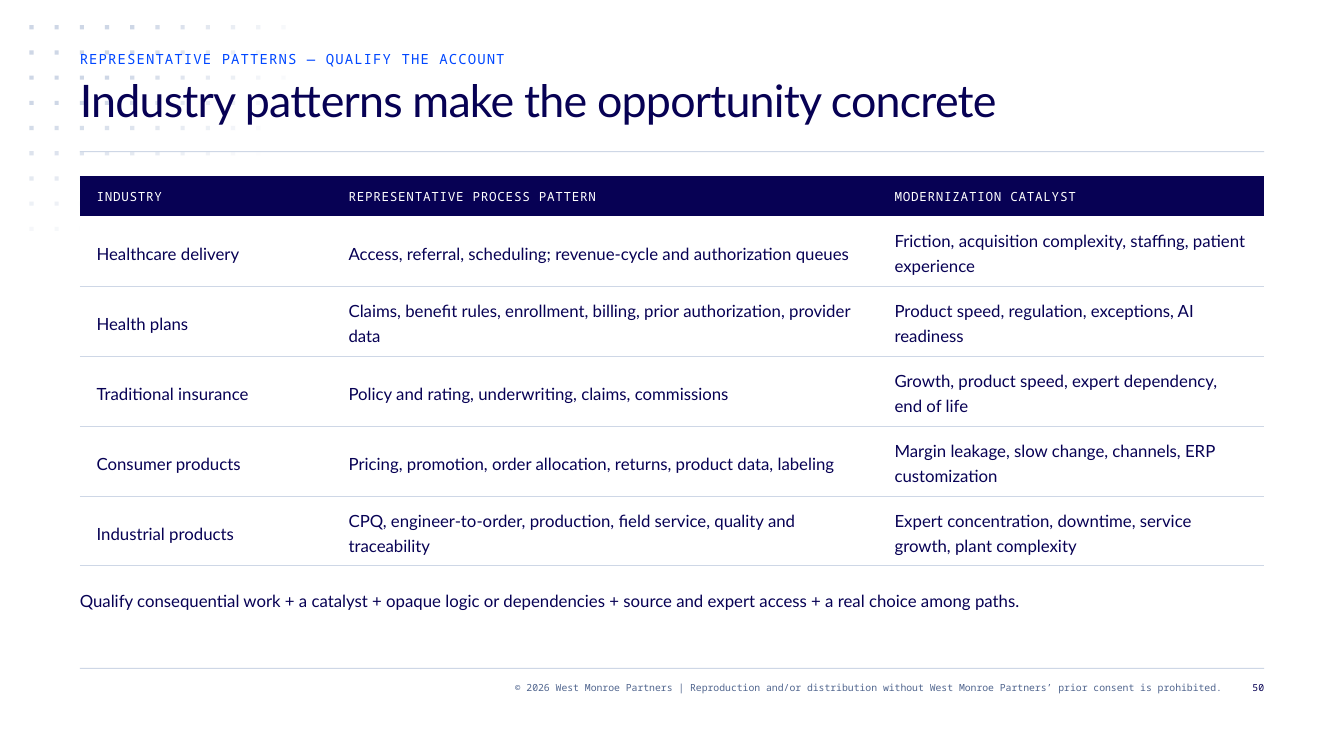
"""Build the industry patterns slide with its qualification table."""
from math import hypot

from lxml.etree import SubElement
from pptx import Presentation
from pptx.dml.color import RGBColor
from pptx.enum.shapes import MSO_SHAPE
from pptx.enum.text import MSO_ANCHOR, MSO_AUTO_SIZE, PP_ALIGN
from pptx.oxml import parse_xml
from pptx.oxml.ns import nsdecls, qn
from pptx.util import Pt

EYEBROW = "REPRESENTATIVE PATTERNS — QUALIFY THE ACCOUNT"
TITLE = "Industry patterns make the opportunity concrete"
ROWS = [
    ("INDUSTRY", "REPRESENTATIVE PROCESS PATTERN", "MODERNIZATION CATALYST"),
    ("Healthcare delivery",
     "Access, referral, scheduling; revenue-cycle and authorization queues",
     "Friction, acquisition complexity, staffing, patient experience"),
    ("Health plans",
     "Claims, benefit rules, enrollment, billing, prior authorization, provider data",
     "Product speed, regulation, exceptions, AI readiness"),
    ("Traditional insurance",
     "Policy and rating, underwriting, claims, commissions",
     "Growth, product speed, expert dependency, end of life"),
    ("Consumer products",
     "Pricing, promotion, order allocation, returns, product data, labeling",
     "Margin leakage, slow change, channels, ERP customization"),
    ("Industrial products",
     "CPQ, engineer-to-order, production, field service, quality and traceability",
     "Expert concentration, downtime, service growth, plant complexity"),
]
TAKEAWAY = ("Qualify consequential work + a catalyst + opaque logic or dependencies "
            "+ source and expert access + a real choice among paths.")
COPYRIGHT = ("© 2026 West Monroe Partners | Reproduction and/or distribution without "
             "West Monroe Partners’ prior consent is prohibited.")
PAGE = "50"

COLORS = {"navy": "070154", "blue": "0047FF", "slate": "50658E",
          "line": "CED7E6", "white": "FFFFFF"}
SANS, MONO = "Lato", "Noto Sans Mono"
PX = 9525
LEFT, WIDTH = 76, 1128
COLUMNS = (240, 520, 368)
HEADER_H, BODY_H = 38, 333
DOT, DOT_X, DOT_STEP = 4, 28, 24
FADE, FADE_COLS, FADE_ROWS = 153, 11.07, 9.08


def px(*values):
    return [round(v * PX) for v in values]


def rgb(name):
    return RGBColor.from_string(COLORS[name])


def write(tf, text, size, leading, font=SANS, color="navy", spacing=0,
          align=PP_ALIGN.LEFT):
    p = tf.paragraphs[0]
    p.alignment = align
    p.line_spacing = Pt(leading)
    r = p.add_run()
    r.text = text
    r.font.size = Pt(size)
    r.font.name = font
    r.font.color.rgb = rgb(color)
    r._r.get_or_add_rPr().set("spc", str(round(spacing * 100)))


def frame(sp):
    tf = sp.text_frame
    tf.word_wrap = True
    tf.auto_size = MSO_AUTO_SIZE.NONE
    tf.vertical_anchor = MSO_ANCHOR.TOP
    tf.margin_left = tf.margin_top = tf.margin_right = tf.margin_bottom = 0
    return tf


def add_text(s, box, text, size, leading, **style):
    write(frame(s.shapes.add_textbox(*px(*box))), text, size, leading, **style)


def add_rect(s, box, alpha=100):
    sp = s.shapes.add_shape(MSO_SHAPE.RECTANGLE, *px(*box))
    sp.shadow.inherit = False
    sp.line.fill.background()
    sp.fill.solid()
    sp.fill.fore_color.rgb = rgb("line")
    if alpha < 100:
        color = sp._element.spPr.find(".//" + qn("a:srgbClr"))
        SubElement(color, qn("a:alpha")).set("val", str(round(alpha * 1000)))


def add_dots(s):
    for col in range(11):
        for row in range(9):
            alpha = FADE * (1 - hypot(col / FADE_COLS, row / FADE_ROWS))
            if alpha >= 2:
                add_rect(s, (DOT_X + col * DOT_STEP, (row + 1) * DOT_STEP, DOT, DOT),
                         alpha)


def set_borders(cell, shown):
    tcPr = cell._tc.get_or_add_tcPr()
    for i, side in enumerate("LRTB"):
        fill = (f'<a:solidFill><a:srgbClr val="{COLORS["line"]}"/></a:solidFill>'
                if side in shown else "<a:noFill/>")
        tcPr.insert(i, parse_xml(
            f'<a:ln{side} {nsdecls("a")} w="{Pt(0.75)}">{fill}</a:ln{side}>'))


def add_patterns(s):
    table = s.shapes.add_table(len(ROWS), len(COLUMNS),
                               *px(LEFT, 168, WIDTH, HEADER_H + BODY_H)).table
    table.first_row = table.horz_banding = False
    for column, width in zip(table.columns, px(*COLUMNS)):
        column.width = width
    for i, texts in enumerate(ROWS):
        height = BODY_H / (len(ROWS) - 1) if i else HEADER_H
        table.rows[i].height = px(height)[0]
        for j, text in enumerate(texts):
            cell = table.cell(i, j)
            cell.margin_left = cell.margin_right = 16 * PX
            cell.margin_top = cell.margin_bottom = 0
            cell.vertical_anchor = MSO_ANCHOR.MIDDLE
            cell.fill.solid()
            cell.fill.fore_color.rgb = rgb("white" if i else "navy")
            set_borders(cell, "" if i == 0 else "B" if i == 1 else "TB")
            if i:
                write(cell.text_frame, text, 12, 18)
            else:
                write(cell.text_frame, text, 9, 12, font=MONO, color="white",
                      spacing=0.5)


def main():
    prs = Presentation()
    prs.slide_width, prs.slide_height = px(1280, 720)
    s = prs.slides.add_slide(prs.slide_layouts[5])
    add_rect(s, (LEFT, 636, WIDTH, 1))
    add_dots(s)
    add_rect(s, (LEFT, 144, WIDTH, 1))
    add_text(s, (228, 648, 936, 24), COPYRIGHT, 7, 9, font=MONO, color="slate",
             align=PP_ALIGN.RIGHT)
    add_text(s, (LEFT, 48, WIDTH, 16), EYEBROW, 10, 12, font=MONO, color="blue",
             spacing=0.8)
    title = s.shapes.title
    title.left, title.top, title.width, title.height = px(LEFT, 72, WIDTH, 72)
    write(frame(title), TITLE, 32, 36, spacing=-0.6)
    s.shapes._spTree.append(title._element)
    add_text(s, (1172, 648, 32, 24), PAGE, 7, 9, font=MONO, align=PP_ALIGN.RIGHT)
    add_patterns(s)
    add_text(s, (LEFT, 558, WIDTH, 56), TAKEAWAY, 12, 18)
    prs.save("out.pptx")


if __name__ == "__main__":
    main()
